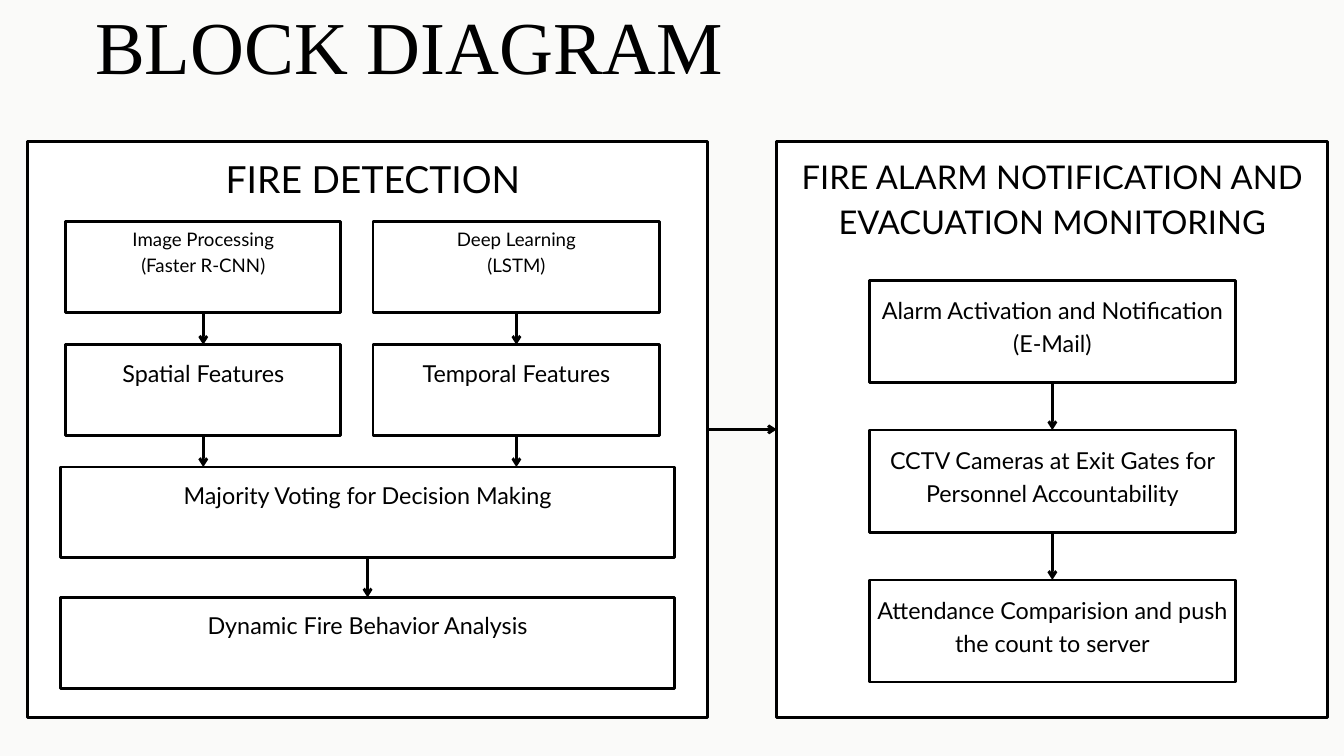
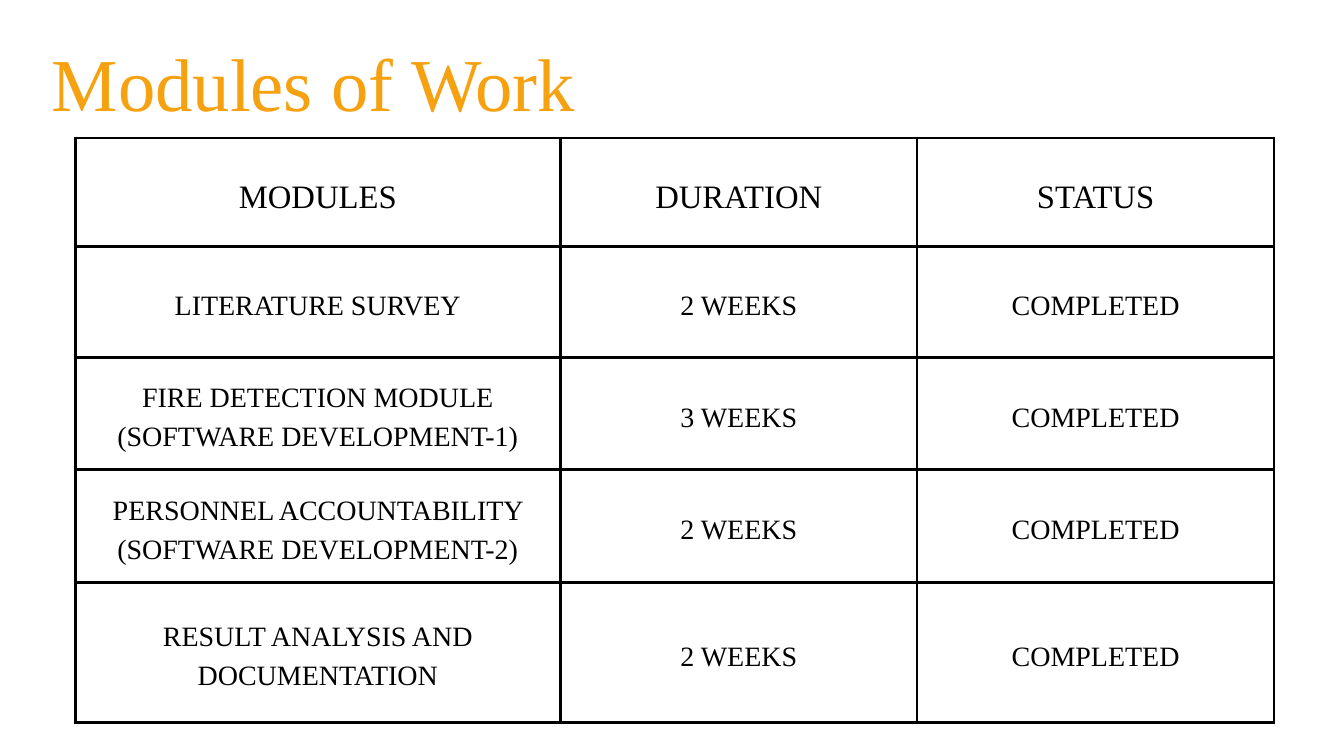
from collections import namedtuple

from lxml.etree import SubElement
from pptx import Presentation
from pptx.dml.color import RGBColor
from pptx.enum.shapes import MSO_CONNECTOR, MSO_SHAPE
from pptx.enum.text import MSO_ANCHOR, PP_ALIGN
from pptx.oxml import parse_xml
from pptx.oxml.ns import nsdecls, qn
from pptx.util import Pt

PX = 9144  # 100 px to the inch
BLACK = RGBColor(0x00, 0x00, 0x00)
WHITE = RGBColor(0xFF, 0xFF, 0xFF)
PAPER = RGBColor(0xFA, 0xFA, 0xF9)
ORANGE = RGBColor(0xF6, 0xA1, 0x10)
SERIF, SANS = "Times New Roman", "Lato"
LINE_WIDTH = Pt(3)

Box = namedtuple("Box", "left top width height")


def emu(*lengths):
    return [round(length * PX) for length in lengths]


def inside(region, left, top, width, height):
    return Box(region.left + left, region.top + top, width, height)


def write(frame, lines, size, font, spacing, color=BLACK, align=PP_ALIGN.CENTER):
    frame.word_wrap = True
    for index, line in enumerate(lines):
        paragraph = frame.add_paragraph() if index else frame.paragraphs[0]
        paragraph.alignment = align
        paragraph.line_spacing = Pt(spacing)
        run = paragraph.add_run()
        run.text = line
        run.font.size = Pt(size)
        run.font.name = font
        run.font.color.rgb = color


def set_margins(target, side, top, bottom):
    target.margin_left = target.margin_right = emu(side)[0]
    target.margin_top, target.margin_bottom = emu(top, bottom)


def add_label(slide, box, text, size, font, spacing, **style):
    frame = slide.shapes.add_textbox(*emu(*box)).text_frame
    set_margins(frame, 0, 0, 0)
    write(frame, [text], size, font, spacing, **style)


def add_title(slide, box, text, color, align):
    add_label(slide, box, text, 80, SERIF, 96, color=color, align=align)


def add_block(slide, box, lines=(), size=25, inset=14):
    shape = slide.shapes.add_shape(MSO_SHAPE.RECTANGLE, *emu(*box))
    shape.shadow.inherit = False
    shape.fill.solid()
    shape.fill.fore_color.rgb = WHITE
    shape.line.color.rgb = BLACK
    shape.line.width = LINE_WIDTH
    frame = shape.text_frame
    set_margins(frame, 6, inset, 0)
    frame.vertical_anchor = MSO_ANCHOR.TOP
    write(frame, lines, size, SANS, size * 1.4)


def add_arrow(slide, *ends):
    arrow = slide.shapes.add_connector(MSO_CONNECTOR.STRAIGHT, *emu(*ends))
    arrow.line.color.rgb = BLACK
    arrow.line.width = LINE_WIDTH
    SubElement(arrow.line._get_or_add_ln(), qn("a:tailEnd"), type="arrow")
    SubElement(arrow._element.spPr, qn("a:effectLst"))


def add_down_arrow(slide, upper, lower):
    x = upper.left + upper.width / 2
    add_arrow(slide, x, upper.top + upper.height, x, lower.top)


def new_slide(presentation, color):
    slide = presentation.slides.add_slide(presentation.slide_layouts[6])
    slide.background.fill.solid()
    slide.background.fill.fore_color.rgb = color
    return slide


def add_detection_panel(slide, region):
    add_block(slide, region)
    add_label(slide, inside(region, 71, 12, 886, 74), "FIRE DETECTION", 40, SANS, 56)

    # Two branches, each a method and the features it yields
    voting = inside(region, 49, 485, 914, 135)
    branches = [
        (57, 409, ["Image Processing", "(Faster R-CNN)"], "Spatial Features"),
        (514, 427, ["Deep Learning", "(LSTM)"], "Temporal Features"),
    ]
    for left, width, method_lines, feature_text in branches:
        method = inside(region, left, 120, width, 135)
        features = inside(region, left, 303, width, 135)
        add_block(slide, method, method_lines, size=20, inset=3)
        add_block(slide, features, [feature_text])
        add_down_arrow(slide, method, features)
        add_down_arrow(slide, features, voting)

    # Shared stages
    analysis = inside(region, 49, 679, 914, 135)
    add_block(slide, voting, ["Majority Voting for Decision Making"])
    add_block(slide, analysis, ["Dynamic Fire Behavior Analysis"])
    add_down_arrow(slide, voting, analysis)


def add_alarm_panel(slide, region):
    add_block(slide, region)
    add_label(slide, inside(region, 9, 13, 802, 133),
              "FIRE ALARM NOTIFICATION AND EVACUATION MONITORING", 35, SANS, 49)
    steps = [
        "Alarm Activation and Notification (E-Mail)",
        "CCTV Cameras at Exit Gates for Personnel Accountability",
        "Attendance Comparision and push the count to server",
    ]
    boxes = [inside(region, 138, 207 + 223 * row, 544, 152) for row in range(len(steps))]
    for box, step in zip(boxes, steps):
        add_block(slide, box, [step], inset=17)
    for upper, lower in zip(boxes, boxes[1:]):
        add_down_arrow(slide, upper, lower)


def build_diagram_slide(presentation):
    slide = new_slide(presentation, PAPER)
    add_title(slide, Box(0, 0, 1219, 152), "BLOCK DIAGRAM", BLACK, PP_ALIGN.CENTER)
    detection = Box(41, 210, 1012, 858)
    alarm = Box(1156, 210, 820, 858)
    add_detection_panel(slide, detection)
    add_alarm_panel(slide, alarm)
    middle = detection.top + detection.height / 2
    add_arrow(slide, detection.left + detection.width, middle, alarm.left, middle)


def add_cell_borders(cell):
    properties = cell._tc.get_or_add_tcPr()
    for index, side in enumerate(("lnL", "lnR", "lnT", "lnB")):
        properties.insert(index, parse_xml(
            f'<a:{side} {nsdecls("a")} w="{LINE_WIDTH}"><a:solidFill>'
            f'<a:srgbClr val="{BLACK}"/></a:solidFill></a:{side}>'))


def add_modules_table(slide, region):
    rows = [
        ("MODULES", "DURATION", "STATUS"),
        ("LITERATURE SURVEY", "2 WEEKS", "COMPLETED"),
        ("FIRE DETECTION MODULE (SOFTWARE DEVELOPMENT-1)", "3 WEEKS", "COMPLETED"),
        ("PERSONNEL ACCOUNTABILITY (SOFTWARE DEVELOPMENT-2)", "2 WEEKS", "COMPLETED"),
        ("RESULT ANALYSIS AND DOCUMENTATION", "2 WEEKS", "COMPLETED"),
    ]
    table = slide.shapes.add_table(len(rows), len(rows[0]), *emu(*region)).table
    table.first_row = table.horz_banding = False
    for column, width in zip(table.columns, emu(722, 531, 531)):
        column.width = width
    for row, height in zip(table.rows, emu(162, 165, 167, 168, 208)):
        row.height = height

    for row_index, texts in enumerate(rows):
        size = 30 if row_index else 35
        for column_index, text in enumerate(texts):
            cell = table.cell(row_index, column_index)
            cell.fill.background()
            cell.vertical_anchor = MSO_ANCHOR.MIDDLE
            set_margins(cell, 21, 21, 21)
            write(cell.text_frame, [text], size, SERIF, size * 1.4)
            add_cell_borders(cell)


def build_modules_slide(presentation):
    slide = new_slide(presentation, WHITE)
    add_modules_table(slide, Box(112, 205, 1784, 870))
    add_title(slide, Box(77, 55, 1508, 150), "Modules of Work", ORANGE, PP_ALIGN.LEFT)


def main():
    presentation = Presentation()
    presentation.slide_width, presentation.slide_height = emu(2000, 1125)
    build_diagram_slide(presentation)
    build_modules_slide(presentation)
    presentation.save("out.pptx")


if __name__ == "__main__":
    main()
